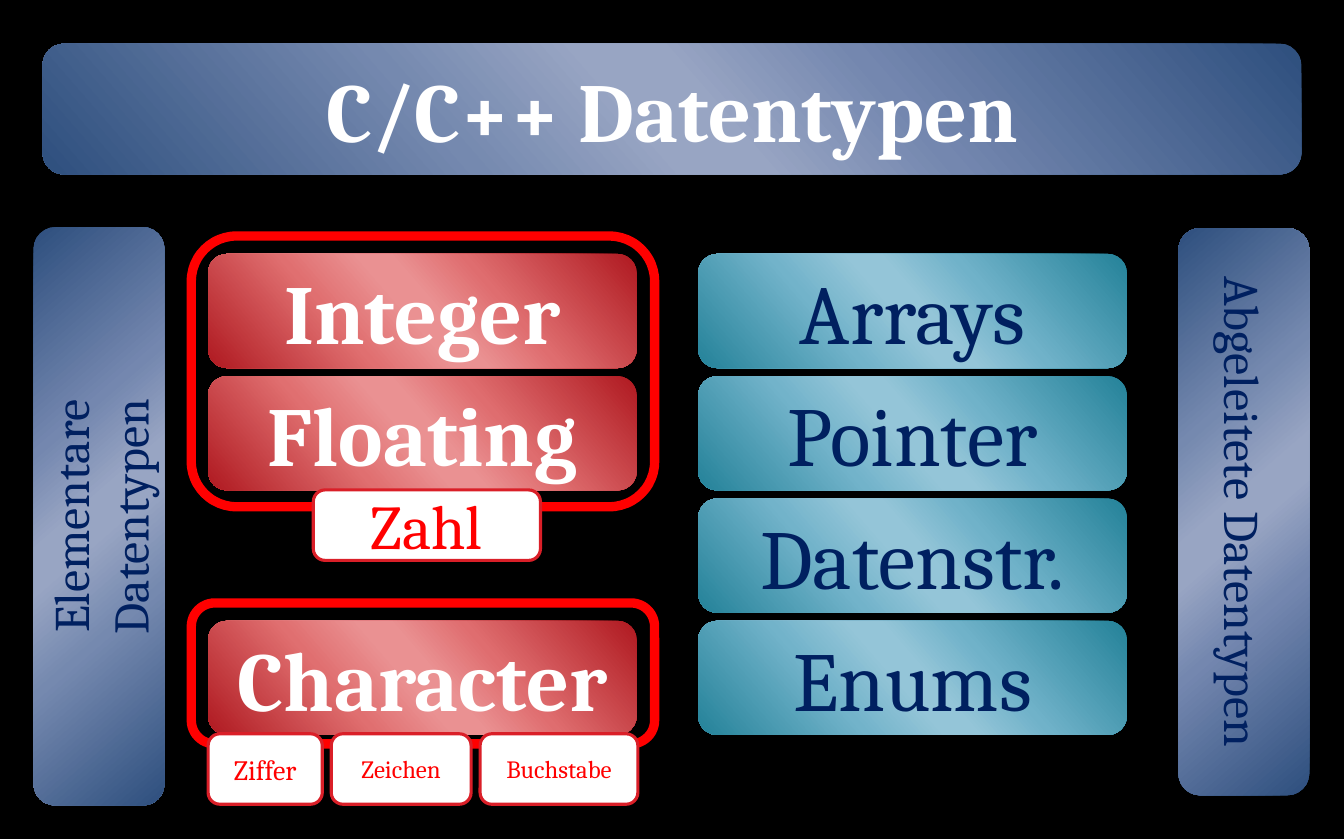
from lxml import etree
from pptx import Presentation
from pptx import util as u
from pptx.dml.color import RGBColor
from pptx.enum import shapes, text
from pptx.oxml.ns import qn

BLUE = [(0, "2E4F7E"), (33, "7487AF"), (47, "98A5C3"),
        (53, "98A5C3"), (68, "7589AF"), (100, "2E4F7E")]
RED = [(0, "AF1920"), (33, "DF6D6F"), (47, "EA9192"),
       (53, "EA9192"), (68, "E06F70"), (100, "AF1920")]
TEAL = [(0, "248299"), (33, "70B2C9"), (47, "94C5D8"),
        (53, "94C5D8"), (68, "72B3CA"), (100, "248299")]
WHITE, NAVY, ALERT = "FFFFFF", "002060", "FF0000"

rgb = RGBColor.from_string

prs = Presentation()
prs.slide_width, prs.slide_height = u.Inches(12.01), u.Inches(7.5)
slide = prs.slides.add_slide(prs.slide_layouts[6])
back = slide.background.fill
back.solid()
back.fore_color.rgb = rgb("000000")


def add_box(at, words="", size=54, color=WHITE, bold=False, line=None):
    box = slide.shapes.add_shape(
        shapes.MSO_SHAPE.ROUNDED_RECTANGLE, *[u.Inches(n) for n in at])
    box.shadow.inherit = False
    if line:
        box.line.color.rgb = rgb(line[0])
        box.line.width = u.Pt(line[1])
    else:
        box.line.fill.background()
    frame = box.text_frame
    frame.word_wrap = True
    frame.vertical_anchor = text.MSO_ANCHOR.MIDDLE
    frame.text = words
    look = {"name": "Cambria", "size": u.Pt(size), "bold": bold}
    for para in frame.paragraphs:
        para.alignment = text.PP_ALIGN.CENTER
        for run in para.runs:
            for key, value in look.items():
                setattr(run.font, key, value)
            run.font.color.rgb = rgb(color)
    return box


def shade(box, stops):
    box.fill.gradient()
    box.fill.gradient_angle = 221
    group = box._element.spPr.find(qn("a:gradFill")).find(qn("a:gsLst"))
    for stop in list(group):
        group.remove(stop)
    for place, color in stops:
        stop = etree.SubElement(group, qn("a:gs"), pos=str(place * 1000))
        etree.SubElement(stop, qn("a:srgbClr"), val=color)


# Title bar
shade(add_box((0.38, 0.39, 11.25, 1.17), "C/C++ Datentypen", bold=True), BLUE)

# Turned side bars
for at, angle, words in [
        ((-1.7, 4.03, 5.17, 1.17), 270, "Elementare\nDatentypen"),
        ((8.58, 3.99, 5.07, 1.17), 90, "Abgeleitete Datentypen")]:
    side = add_box(at, words, 32, NAVY)
    side.rotation = angle
    shade(side, BLUE)

# Type tiles in two columns; the third row on the left stays free
top, pitch = 2.27, 3.28 / 3
for left, names, stops, color, bold in [
        (1.86, ["Integer", "Floating", None, "Character"], RED, WHITE, True),
        (6.24, ["Arrays", "Pointer", "Datenstr.", "Enums"], TEAL, NAVY, False)]:
    for row, name in enumerate(names):
        if name:
            at = (left, top + row * pitch, 3.83, 1.02)
            shade(add_box(at, name, color=color, bold=bold), stops)

# Red frames with their white labels
for y, height, labels in [
        (2.11, 2.42, [(2.8, 4.38, 2.03, "Zahl", 40)]),
        (5.39, 1.26, [(1.86, 6.56, 1.02, "Ziffer", 18),
                      (2.96, 6.56, 1.25, "Zeichen", 16),
                      (4.29, 6.56, 1.41, "Buchstabe", 16)])]:
    add_box((1.71, y, 4.14, height), line=(ALERT, 6)).fill.background()
    for x, down, width, name, size in labels:
        label = add_box((x, down, width, 0.63), name, size, ALERT,
                        line=("DA1F28", 2))
        label.fill.solid()
        label.fill.fore_color.rgb = rgb(WHITE)

prs.save("out.pptx")
